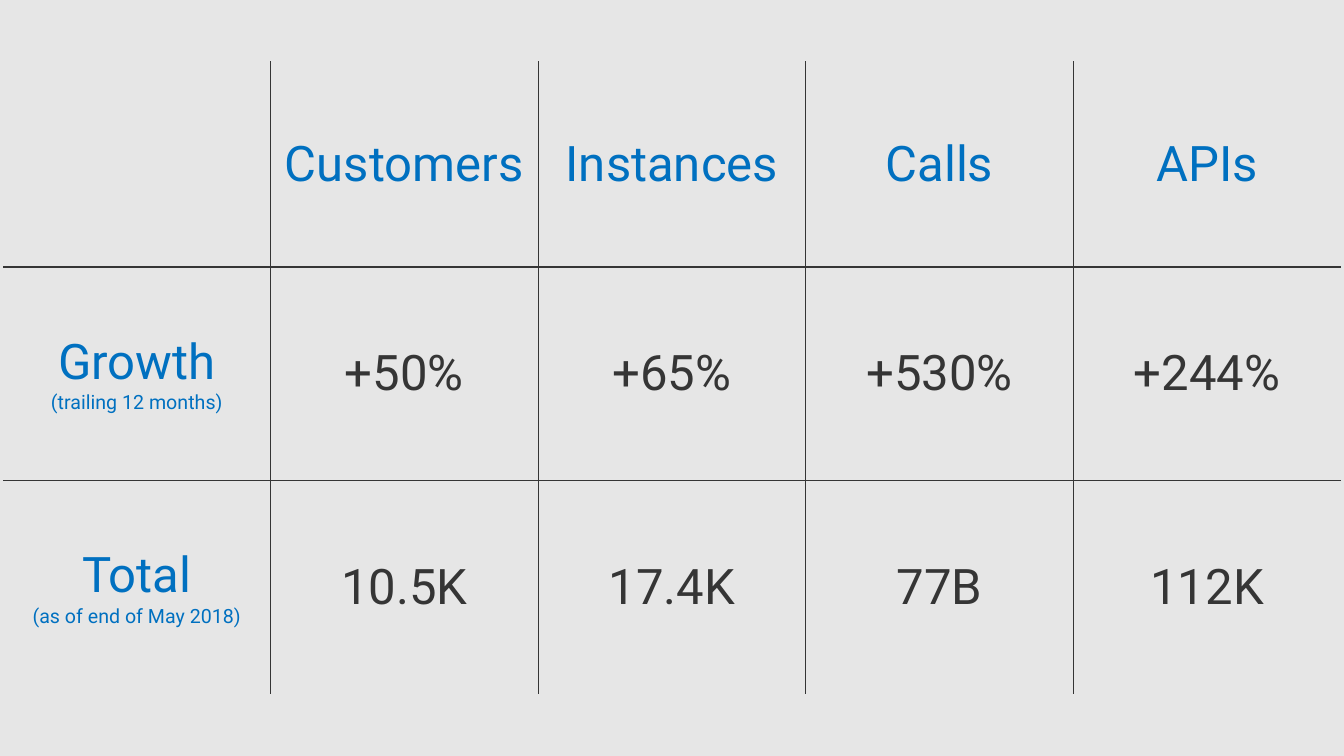
from dataclasses import dataclass

from lxml.etree import SubElement
from pptx import Presentation
from pptx.dml.color import RGBColor
from pptx.enum.text import MSO_ANCHOR, PP_ALIGN
from pptx.oxml.ns import qn
from pptx.table import _Cell
from pptx.util import Inches, Pt

BACKGROUND = RGBColor(0xE6, 0xE6, 0xE6)
BLUE = RGBColor(0x00, 0x70, 0xC0)
DARK = RGBColor(0x35, 0x35, 0x35)
FONT = "Roboto"
MARGIN_X, MARGIN_Y = Inches(0.03), Inches(0.61)
HEADER_SHARE = 2.04 / 6.28


@dataclass(frozen=True)
class Metric:
    name: str
    growth: str
    total: str


@dataclass(frozen=True)
class RowLabel:
    title: str
    note: str


METRICS = [
    Metric("Customers", "+50%", "10.5K"),
    Metric("Instances", "+65%", "17.4K"),
    Metric("Calls", "+530%", "77B"),
    Metric("APIs", "+244%", "112K"),
]
ROW_LABELS = [
    RowLabel("Growth", "(trailing 12 months)"),
    RowLabel("Total", "(as of end of May 2018)"),
]


def add_line(cell: _Cell, text: str, color: RGBColor, size: int = 35) -> None:
    tf = cell.text_frame
    p = tf.add_paragraph() if tf.text else tf.paragraphs[0]
    p.alignment = PP_ALIGN.CENTER
    r = p.add_run()
    r.text = text
    r.font.name = FONT
    r.font.size = Pt(size)
    r.font.bold = False
    r.font.color.rgb = color


def set_borders(cell: _Cell, sides: dict[str, bool]) -> None:
    tc_pr = cell._tc.get_or_add_tcPr()
    for side, visible in sides.items():
        ln = SubElement(tc_pr, qn(f"a:ln{side}"), w=str(Pt(1)))
        if visible:
            fill = SubElement(ln, qn("a:solidFill"))
            SubElement(fill, qn("a:srgbClr"), val=str(DARK))
        else:
            SubElement(ln, qn("a:noFill"))


def main() -> None:
    prs = Presentation()
    prs.slide_width, prs.slide_height = Inches(13.33), Inches(7.5)
    s = prs.slides.add_slide(prs.slide_layouts[6])
    s.background.fill.solid()
    s.background.fill.fore_color.rgb = BACKGROUND

    rows, cols = len(ROW_LABELS) + 1, len(METRICS) + 1
    width = prs.slide_width - 2 * MARGIN_X
    height = prs.slide_height - 2 * MARGIN_Y
    table = s.shapes.add_table(rows, cols, MARGIN_X, MARGIN_Y, width, height).table
    table.first_row = table.horz_banding = False
    for column in table.columns:
        column.width = width // cols
    header_height = int(height * HEADER_SHARE)
    for i, row in enumerate(table.rows):
        row.height = (height - header_height) // (rows - 1) if i else header_height

    for i in range(rows):
        for j in range(cols):
            cell = table.cell(i, j)
            cell.vertical_anchor = MSO_ANCHOR.MIDDLE
            set_borders(cell, {"L": j > 0, "R": j < cols - 1, "T": i > 0, "B": i < rows - 1})
            cell.fill.background()

    for i, label in enumerate(ROW_LABELS, 1):
        add_line(table.cell(i, 0), label.title, BLUE)
        add_line(table.cell(i, 0), label.note, BLUE, 14)
    for j, metric in enumerate(METRICS, 1):
        add_line(table.cell(0, j), metric.name, BLUE)
        add_line(table.cell(1, j), metric.growth, DARK)
        add_line(table.cell(2, j), metric.total, DARK)

    prs.save("out.pptx")


if __name__ == "__main__":
    main()
